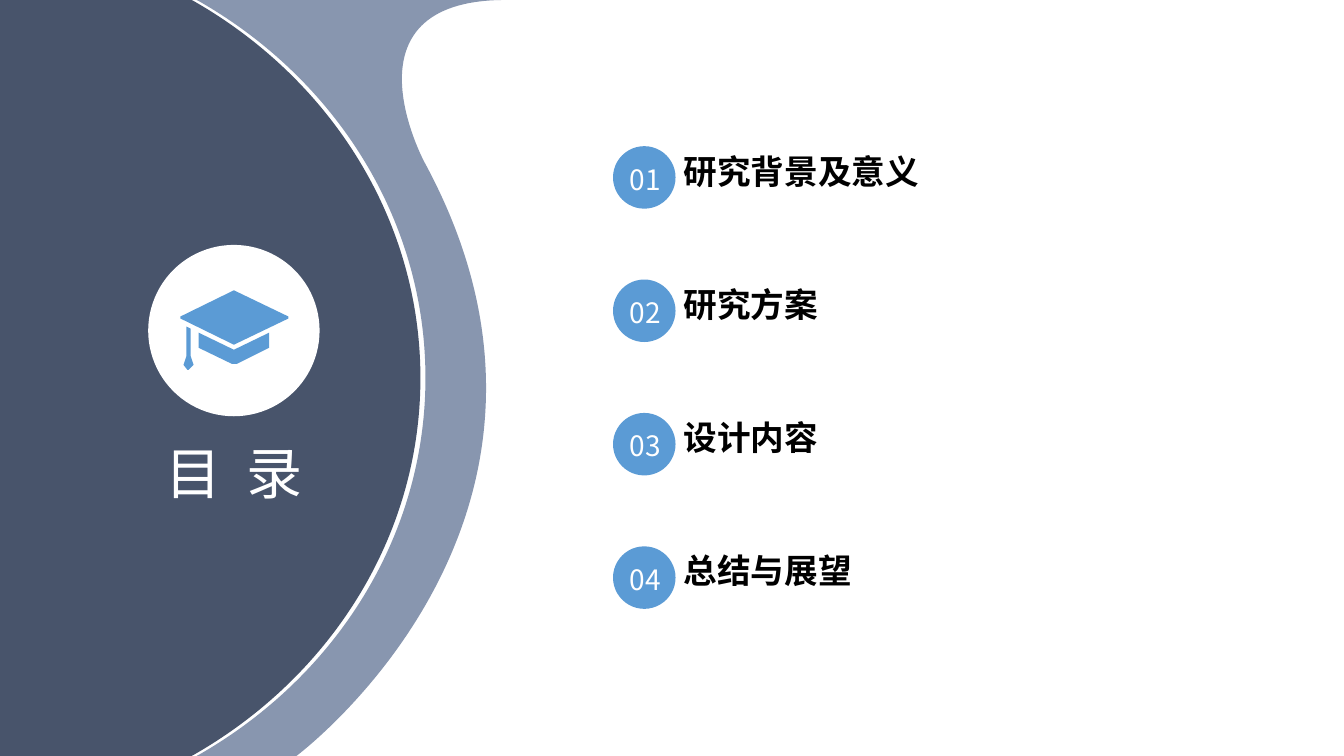
from lxml import etree
from pptx import Presentation
from pptx.dml.color import RGBColor
from pptx.enum.shapes import MSO_SHAPE
from pptx.enum.text import MSO_ANCHOR, MSO_AUTO_SIZE, PP_ALIGN
from pptx.oxml.ns import qn
from pptx.util import Inches, Pt

OVAL = MSO_SHAPE.OVAL
TOP, MIDDLE = MSO_ANCHOR.TOP, MSO_ANCHOR.MIDDLE
LEFT, CENTER = PP_ALIGN.LEFT, PP_ALIGN.CENTER
NO_AUTOFIT = MSO_AUTO_SIZE.NONE

NAVY, SLATE, BLUE = "48546B", "8896AF", "5B9BD5"
WHITE, BLACK = "FFFFFF", "000000"
CJK_FONT, LATIN_FONT = "Noto Sans CJK SC", "Arial"

CHAPTERS = ["研究背景及意义", "研究方案", "设计内容", "总结与展望"]
BADGE_LEFT, BADGE_SIZE = 6.08, 0.62
FIRST_BADGE_TOP, LAST_BADGE_TOP = 1.45, 5.42
BADGE_PITCH = (LAST_BADGE_TOP - FIRST_BADGE_TOP) / (len(CHAPTERS) - 1)


def color(hex_code):
    return RGBColor.from_string(hex_code)


def paint(shape, hex_code):
    shape.shadow.inherit = False
    shape.fill.solid()
    shape.fill.fore_color.rgb = color(hex_code)
    shape.line.fill.background()


def add_circle(slide, left, top, size, hex_code):
    circle = slide.shapes.add_shape(
        OVAL, Inches(left), Inches(top), Inches(size), Inches(size))
    paint(circle, hex_code)
    return circle


def end_point(step):
    return Inches(step[-2]), Inches(step[-1])


def bend_segments(shape, steps):
    """Turn the straight segments of curve steps into cubic curves."""
    segments = list(shape._element.iter(qn("a:lnTo")))
    for segment, step in zip(segments, steps):
        if len(step) == 2:
            continue
        curve = etree.Element(qn("a:cubicBezTo"))
        for x, y in zip(step[::2], step[1::2]):
            point = etree.SubElement(curve, qn("a:pt"))
            point.set("x", str(Inches(x) - shape.left))
            point.set("y", str(Inches(y) - shape.top))
        segment.getparent().replace(segment, curve)


def add_outlines(slide, outlines, hex_code):
    """Draw outlines of points (x, y) and curves (x1, y1, x2, y2, x, y)."""
    first, *others = outlines
    builder = slide.shapes.build_freeform(*end_point(first[0]), scale=1.0)
    builder.add_line_segments(map(end_point, first[1:]), close=True)
    for outline in others:
        builder.move_to(*end_point(outline[0]))
        builder.add_line_segments(map(end_point, outline[1:]), close=True)
    shape = builder.convert_to_shape()
    bend_segments(shape, [step for outline in outlines for step in outline[1:]])
    paint(shape, hex_code)


def place(placeholder, left, top, width, height):
    placeholder.left, placeholder.top = Inches(left), Inches(top)
    placeholder.width, placeholder.height = Inches(width), Inches(height)


def set_frame(frame, anchor, inset=0):
    frame.word_wrap = True
    frame.auto_size = NO_AUTOFIT
    frame.vertical_anchor = anchor
    frame.margin_left = frame.margin_right = Inches(inset)
    frame.margin_top = frame.margin_bottom = Inches(inset)


def style(paragraph, size, font_name, hex_code, align, bold=False):
    paragraph.alignment = align
    paragraph.line_spacing = 1.0
    font = paragraph.font
    font.size, font.name, font.bold = Pt(size), font_name, bold
    font.color.rgb = color(hex_code)


def remove_bullet(paragraph):
    properties = paragraph._p.get_or_add_pPr()
    properties.set("marL", "0")
    properties.set("indent", "0")
    etree.SubElement(properties, qn("a:buNone"))


def right_arc(shift=0):
    """Right edge of the dark panel, from top to bottom."""
    near, middle, far = 1.92 + shift, 3.27 + shift, 4.17 + shift
    return [(near, 0.01),
            (middle, 0.78, far, 2.17, far, 3.75),
            (far, 5.33, middle, 6.72, near, 7.49)]


def add_side_panel(slide):
    panel = [(0, 0), (1.9, 0), *right_arc(), (1.9, 7.5), (0, 7.5)]
    band = [(5, 0), (1.92, 0), (1.95, 0), *right_arc(0.05), (1.95, 7.5),
            (2.94, 7.5), (2.94, 7.5, 6.12, 5.13, 4.21, 1.61),
            (4.21, 1.61, 3.35, 0.01, 5, 0)]
    add_outlines(slide, [panel], NAVY)
    add_outlines(slide, [band], SLATE)


def add_graduation_cap(slide):
    add_circle(slide, 1.47, 2.43, 1.7, WHITE)
    base = [(2.67, 3.3), (2.32, 3.47), (1.97, 3.3), (1.97, 3.45),
            (2.3, 3.61), (2.35, 3.61), (2.67, 3.45)]
    tassel = [(1.85, 3.24), (1.85, 3.53), (1.82, 3.62), (1.86, 3.67),
              (1.87, 3.67), (1.92, 3.62), (1.89, 3.53), (1.89, 3.26)]
    board = [(2.32, 2.88), (1.79, 3.14), (1.79, 3.16), (2.32, 3.42),
             (2.86, 3.16), (2.86, 3.14)]
    add_outlines(slide, [base, tassel, board], BLUE)


def add_heading(slide):
    title = slide.shapes.title
    place(title, 1.23, 4.3, 2.18, 0.77)
    set_frame(title.text_frame, MIDDLE, inset=0.05)
    title.text_frame.text = "目 录"
    heading = title.text_frame.paragraphs[0]
    style(heading, 40, LATIN_FONT, WHITE, CENTER)
    # Letter spacing widens the gap between the two characters
    heading.runs[0]._r.get_or_add_rPr().set("spc", "450")
    # Bring the heading in front of the dark panel
    slide.shapes._spTree.append(title._element)


def add_badge(slide, index):
    top = FIRST_BADGE_TOP + index * BADGE_PITCH
    badge = add_circle(slide, BADGE_LEFT, top, BADGE_SIZE, BLUE)
    frame = badge.text_frame
    set_frame(frame, MIDDLE)
    frame.word_wrap = False
    frame.margin_left = Inches(0.02)
    frame.margin_top = Inches(0.03)
    frame.text = f"{index + 1:02d}"
    style(frame.paragraphs[0], 20, CJK_FONT, WHITE, CENTER)


def add_chapter_list(slide):
    chapter_list = slide.placeholders[1]
    place(chapter_list, 6.78, 1.5, 3.51, 4.5)
    frame = chapter_list.text_frame
    set_frame(frame, TOP)
    frame.text = "\n".join(CHAPTERS)
    for index, paragraph in enumerate(frame.paragraphs):
        paragraph.space_before = Pt(66.2 if index else 0)
        remove_bullet(paragraph)
        style(paragraph, 24, CJK_FONT, BLACK, LEFT, bold=True)


def main():
    presentation = Presentation()
    presentation.slide_width = Inches(13.33)
    presentation.slide_height = Inches(7.5)
    slide = presentation.slides.add_slide(presentation.slide_layouts[1])

    # Left side: panel, emblem and heading
    add_side_panel(slide)
    add_graduation_cap(slide)
    add_heading(slide)

    # Right side: numbered chapters
    add_chapter_list(slide)
    for index in range(len(CHAPTERS)):
        add_badge(slide, index)

    presentation.save("out.pptx")


if __name__ == "__main__":
    main()
